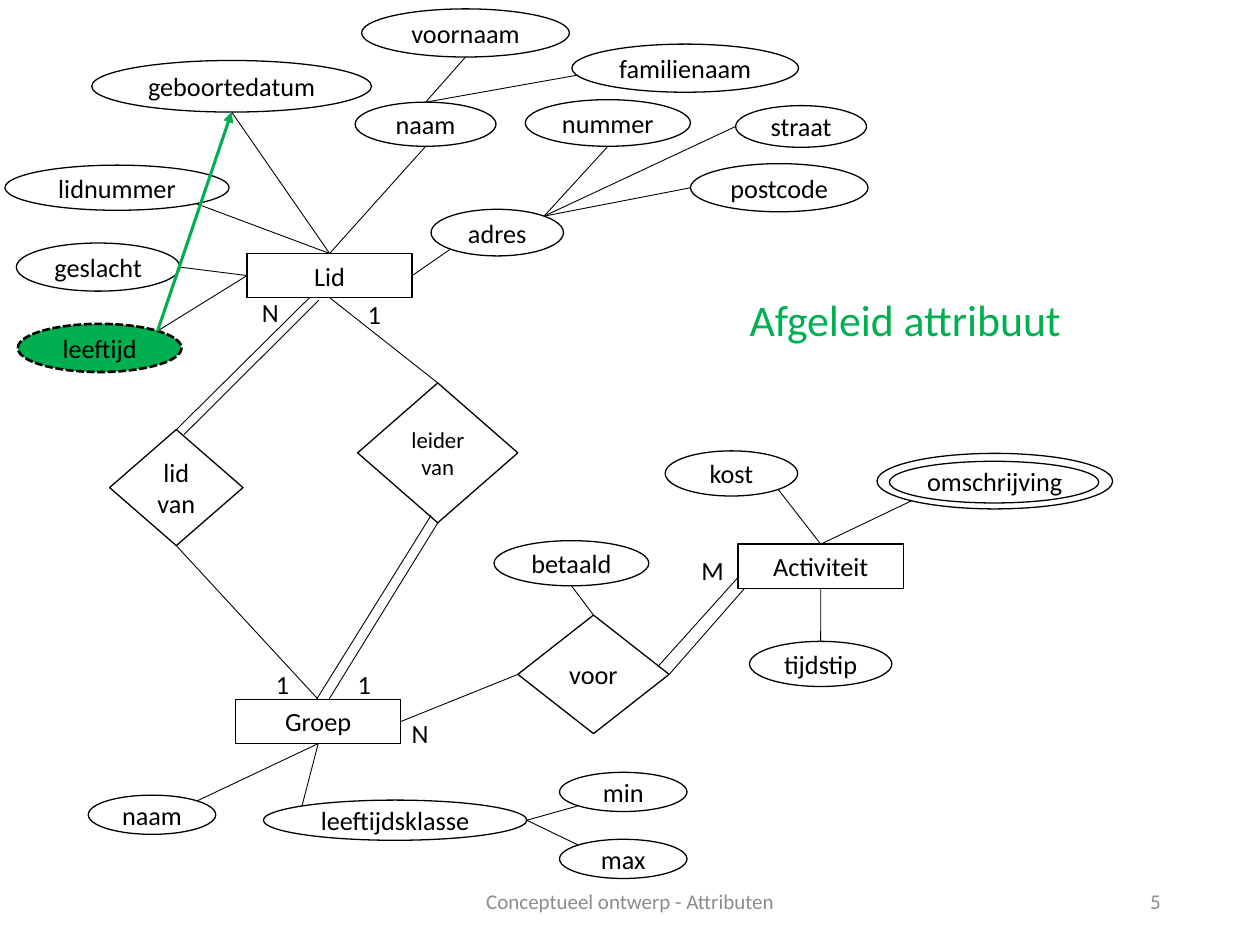
from dataclasses import dataclass
from typing import Optional, Union

from lxml import etree
from pptx import Presentation
from pptx import util as u
from pptx.dml.color import RGBColor
from pptx.enum import dml, shapes, text
from pptx.oxml import ns

BLACK = RGBColor(0x00, 0x00, 0x00)
WHITE = RGBColor(0xFF, 0xFF, 0xFF)
GREEN = RGBColor(0x00, 0xB0, 0x50)
GREY = RGBColor(0x8C, 0x8C, 0x8C)

ENTITY = shapes.MSO_SHAPE.RECTANGLE
ATTRIBUTE = shapes.MSO_SHAPE.OVAL
RELATION = shapes.MSO_SHAPE.DIAMOND

LEFT, CENTER, RIGHT = text.PP_ALIGN.LEFT, text.PP_ALIGN.CENTER, text.PP_ALIGN.RIGHT
DIAGONAL = 0.5 ** 0.5
# Direction from the centre to each connection site
SITES = {
    "top": (0, -1), "left": (-1, 0), "bottom": (0, 1), "right": (1, 0),
    "top left": (-DIAGONAL, -DIAGONAL), "top right": (DIAGONAL, -DIAGONAL),
    "bottom left": (-DIAGONAL, DIAGONAL), "bottom right": (DIAGONAL, DIAGONAL),
}
SITE_NUMBERS = {"top": 0, "left": 1, "bottom": 2, "right": 3}


@dataclass
class Node:
    label: str
    kind: shapes.MSO_SHAPE
    left: float
    top: float
    width: float
    height: float
    size: float = 15
    fill: Optional[RGBColor] = WHITE
    dashed: bool = False

    def site(self, name: str) -> tuple[float, float]:
        across, down = SITES[name]
        return (self.left + self.width * (1 + across) / 2,
                self.top + self.height * (1 + down) / 2)


@dataclass
class Label:
    label: str
    left: float
    top: float
    width: float = 0.8


# An end is either (node name, site name) or a free point in centimetres
End = tuple[Union[str, float], Union[str, float]]


@dataclass
class Link:
    begin: End
    end: End
    color: RGBColor = BLACK
    width: float = 0.5
    arrow: bool = False


NODES = {
    # Entities
    "Lid": Node("Lid", ENTITY, 4.98, 5.11, 3.33, 0.89, fill=None),
    "Groep": Node("Groep", ENTITY, 4.75, 14.1, 3.33, 0.89, fill=None),
    "Activiteit": Node("Activiteit", ENTITY, 14.88, 10.97, 3.33, 0.89, fill=None),
    # Relations
    "lid van": Node("lid van", RELATION, 2.21, 8.66, 2.69, 2.34),
    "leider van": Node("leider van", RELATION, 7.21, 7.72, 3.23, 2.82, size=13),
    "voor": Node("voor", RELATION, 10.44, 12.4, 3.05, 2.39),
    # Attributes of Lid
    "lidnummer": Node("lidnummer", ATTRIBUTE, 0.1, 3.33, 4.52, 0.91),
    "geslacht": Node("geslacht", ATTRIBUTE, 0.33, 4.9, 3.3, 0.97),
    "leeftijd": Node("leeftijd", ATTRIBUTE, 0.36, 6.53, 3.3, 0.97, fill=GREEN, dashed=True),
    "geboortedatum": Node("geboortedatum", ATTRIBUTE, 1.85, 1.22, 5.64, 1.04, fill=None),
    "naam lid": Node("naam", ATTRIBUTE, 7.16, 2.06, 2.84, 0.89),
    "voornaam": Node("voornaam", ATTRIBUTE, 7.29, 0.18, 4.19, 0.97),
    "familienaam": Node("familienaam", ATTRIBUTE, 11.53, 0.89, 4.57, 0.97),
    "adres": Node("adres", ATTRIBUTE, 8.69, 4.22, 2.67, 0.94, fill=None),
    "straat": Node("straat", ATTRIBUTE, 14.83, 2.13, 2.64, 0.84),
    "nummer": Node("nummer", ATTRIBUTE, 10.59, 2.01, 3.33, 0.94),
    "postcode": Node("postcode", ATTRIBUTE, 13.92, 3.3, 3.58, 0.97),
    # Attributes of Groep
    "naam groep": Node("naam", ATTRIBUTE, 1.78, 16.03, 2.57, 0.79),
    "leeftijdsklasse": Node("leeftijdsklasse", ATTRIBUTE, 5.31, 16.13, 5.31, 0.81, fill=None),
    "min": Node("min", ATTRIBUTE, 11.28, 15.57, 2.57, 0.79),
    "max": Node("max", ATTRIBUTE, 11.28, 16.92, 2.57, 0.79),
    # Attributes of Activiteit and voor
    "omschrijving": Node("omschrijving", ATTRIBUTE, 17.68, 9.14, 4.75, 1.12, fill=None),
    "inner ring": Node("", ATTRIBUTE, 17.93, 9.3, 4.22, 0.84, fill=None),
    "kost": Node("kost", ATTRIBUTE, 13.41, 9.09, 2.67, 0.91, fill=None),
    "tijdstip": Node("tijdstip", ATTRIBUTE, 15.11, 12.93, 2.87, 0.91),
    "betaald": Node("betaald", ATTRIBUTE, 9.96, 10.9, 3.12, 0.91),
}

LINKS = [
    # Attributes
    *(Link((name, side), ("adres", "top right"))
      for name, side in (("straat", "left"), ("nummer", "bottom"), ("postcode", "left"))),
    *(Link((name, side), ("Lid", "top"))
      for name, side in (("lidnummer", "bottom right"), ("naam lid", "bottom"),
                         ("geboortedatum", "bottom"))),
    Link(("geslacht", "right"), ("Lid", "left")),
    Link(("leeftijd", "top right"), ("Lid", "left")),
    Link(("Lid", "right"), ("adres", "bottom left")),
    Link(("voornaam", "bottom"), ("naam lid", "top")),
    Link((11.61, 1.52), ("naam lid", "top")),
    Link(("Groep", "bottom"), ("naam groep", "top right")),
    Link(("leeftijdsklasse", "top left"), ("Groep", "bottom")),
    Link(("min", "bottom left"), ("leeftijdsklasse", "right")),
    Link(("max", "top left"), ("leeftijdsklasse", "right")),
    Link(("omschrijving", "bottom left"), ("Activiteit", "top")),
    Link(("kost", "bottom right"), ("Activiteit", "top")),
    Link(("tijdstip", "top"), ("Activiteit", "bottom")),
    Link(("betaald", "bottom"), ("voor", "top")),
    # Single relation lines
    Link(("Groep", "top"), ("lid van", "bottom")),
    Link(("Lid", "bottom"), ("leider van", "top")),
    Link(("voor", "left"), ("Groep", "right")),
    # Double relation lines
    Link(("lid van", "top"), (6.25, 5.99)),
    Link((3.71, 8.76), (6.43, 6.05)),
    Link(("leider van", "bottom"), (6.63, 14.1)),
    Link((8.69, 10.39), (6.38, 14.1)),
    Link((15.01, 11.86), ("voor", "right")),
    Link((14.86, 11.66), (13.26, 13.44)),
    # Derivation of leeftijd
    Link(("leeftijd", "top right"), ("geboortedatum", "bottom"), GREEN, 1.75, arrow=True),
]

CARDINALITIES = [
    Label("N", 5.03, 5.84, 0.86), Label("1", 7.16, 5.89),
    Label("1", 5.31, 13.34), Label("1", 6.96, 13.34),
    Label("N", 8.05, 14.33, 0.86), Label("M", 13.89, 11.05, 0.97),
]


def write(shape, content: str, *, size: float = 15, color: RGBColor = BLACK,
          align=LEFT, anchor=text.MSO_ANCHOR.MIDDLE, wrap: bool = True) -> None:
    frame = shape.text_frame
    frame.word_wrap = wrap
    frame.auto_size = text.MSO_AUTO_SIZE.NONE if wrap else text.MSO_AUTO_SIZE.SHAPE_TO_FIT_TEXT
    frame.vertical_anchor = anchor
    paragraph = frame.paragraphs[0]
    paragraph.alignment = align
    run = paragraph.add_run()
    run.text = content
    run.font.name, run.font.size, run.font.color.rgb = "Calibri", u.Pt(size), color


def add_node(slide, node: Node):
    shape = slide.shapes.add_shape(
        node.kind, *map(u.Cm, (node.left, node.top, node.width, node.height)))
    shape.shadow.inherit = False
    if node.fill is None:
        shape.fill.background()
    else:
        shape.fill.solid()
        shape.fill.fore_color.rgb = node.fill
    shape.line.color.rgb = BLACK
    shape.line.width = u.Pt(1.5 if node.dashed else 0.75)
    if node.dashed:
        shape.line.dash_style = dml.MSO_LINE.SQUARE_DOT
    if node.label:
        shape.text_frame.margin_left = shape.text_frame.margin_right = 0
        write(shape, node.label, size=node.size, align=CENTER)
    return shape


def add_link(slide, link: Link, drawn: dict) -> None:
    ends = (link.begin, link.end)
    points = [NODES[end[0]].site(end[1]) if end[0] in NODES else end for end in ends]
    connector = slide.shapes.add_connector(
        shapes.MSO_CONNECTOR.STRAIGHT, *(u.Cm(value) for point in points for value in point))
    for (name, site), join in zip(ends, (connector.begin_connect, connector.end_connect)):
        if name in NODES and NODES[name].kind != ATTRIBUTE:
            join(drawn[name], SITE_NUMBERS[site])
    connector.line.color.rgb = link.color
    connector.line.width = u.Pt(link.width)
    if link.arrow:
        etree.SubElement(connector.line._get_or_add_ln(), ns.qn("a:tailEnd"), type="triangle")
    etree.SubElement(connector._element.spPr, ns.qn("a:effectLst"))


def main() -> None:
    presentation = Presentation()
    presentation.slide_width, presentation.slide_height = u.Cm(25.4), u.Cm(19.05)
    slide = presentation.slides.add_slide(presentation.slide_layouts[5])

    # Title
    title = slide.shapes.title
    title.left, title.top, title.width, title.height = map(u.Cm, (14.86, 5.77, 6.88, 1.32))
    write(title, "Afgeleid attribuut", size=25, color=GREEN,
          anchor=text.MSO_ANCHOR.TOP, wrap=False)

    # Diagram
    drawn = {name: add_node(slide, node) for name, node in NODES.items()}
    for link in LINKS:
        add_link(slide, link, drawn)
    for item in CARDINALITIES:
        box = slide.shapes.add_textbox(*map(u.Cm, (item.left, item.top, item.width, 0.89)))
        write(box, item.label, anchor=text.MSO_ANCHOR.TOP, wrap=False)

    # Footer
    for content, left, width, align in (("Conceptueel ontwerp - Attributen", 8.41, 8.59, CENTER),
                                        ("5", 17.93, 5.72, RIGHT)):
        box = slide.shapes.add_textbox(*map(u.Cm, (left, 17.65, width, 1.02)))
        write(box, content, size=12, color=GREY, align=align)

    presentation.save("out.pptx")


if __name__ == "__main__":
    main()
